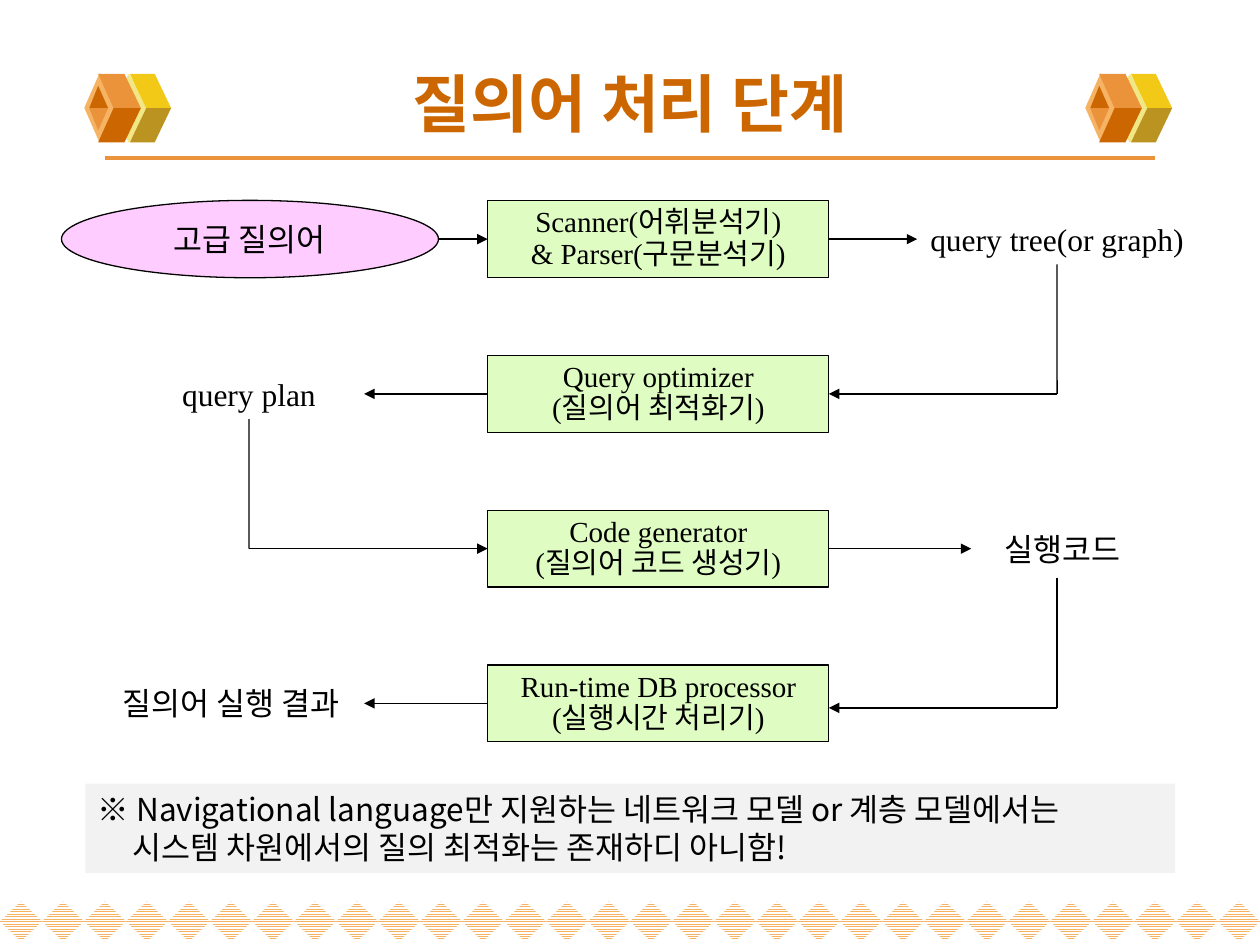
import pptx
import pptx.dml.color
import pptx.enum.dml
import pptx.enum.shapes
import pptx.enum.text
import pptx.oxml
import pptx.oxml.ns
import pptx.util

Cm = pptx.util.Cm
Pt = pptx.util.Pt
SHAPE = pptx.enum.shapes.MSO_SHAPE
ALIGN = pptx.enum.text.PP_ALIGN
ANCHOR = pptx.enum.text.MSO_ANCHOR

COLORS = {
    "black": "000000", "white": "FFFFFF", "title": "CC6600", "rule": "EB933B",
    "stripe": "F5B363", "cream": "F1E785", "yellow": "F3C917", "olive": "BB9321",
    "pink": "FFCCFF", "green": "DFFDC3", "grey": "F2F2F2",
}
SERIF = "Times New Roman"
SANS = "Noto Sans CJK KR"
TOP, LEFT, BOTTOM, RIGHT = range(4)
STEP_LEFT, STEP_WIDTH, STEP_HEIGHT = 9.83, 6.88, 1.55
ROWS = [4.82 + 3.12 * row for row in range(4)]
STEPS = [
    ["Scanner(어휘분석기)", "& Parser(구문분석기)"],
    ["Query optimizer", "(질의어 최적화기)"],
    ["Code generator", "(질의어 코드 생성기)"],
    ["Run-time DB processor", "(실행시간 처리기)"],
]


def color(name):
    return pptx.dml.color.RGBColor.from_string(COLORS[name])


def style(shape, fill, outline=None):
    shape.shadow.inherit = False
    shape.fill.solid()
    shape.fill.fore_color.rgb = color(fill)
    if outline:
        shape.line.color.rgb = color(outline)
        shape.line.width = Pt(0.75)
    else:
        shape.line.fill.background()


def add_block(page, kind, left, top, width, height, fill, outline=None):
    shape = page.shapes.add_shape(kind, Cm(left), Cm(top), Cm(width), Cm(height))
    style(shape, fill, outline)
    return shape


def write(shape, lines, size, font=SERIF, ink="black", bold=False,
          align=ALIGN.CENTER, anchor=ANCHOR.MIDDLE, spacing=None):
    frame = shape.text_frame
    frame.word_wrap = True
    frame.vertical_anchor = anchor
    for index, line in enumerate(lines):
        para = frame.add_paragraph() if index else frame.paragraphs[0]
        para.text = line
        para.alignment = align
        para.line_spacing = spacing
        para.font.size = Pt(size)
        para.font.name = font
        para.font.bold = bold
        para.font.color.rgb = color(ink)
    return frame


def add_label(page, text, left, width, middle):
    box = page.shapes.add_textbox(Cm(left), Cm(middle - 0.51), Cm(width), Cm(1.02))
    write(box, [text], 18).word_wrap = False
    return box


def add_step(page, lines, middle):
    box = add_block(page, SHAPE.RECTANGLE, STEP_LEFT, middle - STEP_HEIGHT / 2,
                    STEP_WIDTH, STEP_HEIGHT, "green", "black")
    frame = write(box, lines, 16.6, spacing=0.9)
    frame.margin_left = frame.margin_right = Cm(0.1)
    frame.margin_top = frame.margin_bottom = Cm(0.1)
    return box


def add_line(page, start, end, ink="black", width=0.75, arrow=False):
    joins = [isinstance(point[0], (int, float)) for point in (start, end)]
    begin_x, begin_y = start if joins[0] else (0, 0)
    end_x, end_y = end if joins[1] else (0, 0)
    line = page.shapes.add_connector(
        pptx.enum.shapes.MSO_CONNECTOR.STRAIGHT,
        Cm(begin_x), Cm(begin_y), Cm(end_x), Cm(end_y))
    if not joins[0]:
        line.begin_connect(*start)
    if not joins[1]:
        line.end_connect(*end)
    line.line.color.rgb = color(ink)
    line.line.width = Pt(width)
    if arrow:
        tail = pptx.oxml.parse_xml(
            f'<a:tailEnd {pptx.oxml.ns.nsdecls("a")} type="triangle"/>')
        line.line._get_or_add_ln().append(tail)
    line._element.spPr.append(
        pptx.oxml.parse_xml(f'<a:effectLst {pptx.oxml.ns.nsdecls("a")}/>'))


def add_face(page, points, fill):
    corners = [(Cm(x), Cm(y)) for x, y in points]
    builder = page.shapes.build_freeform(*corners[0], scale=1.0)
    builder.add_line_segments(corners[1:], close=True)
    style(builder.convert_to_shape(), fill)


def add_mirrored_faces(page, points, shift, upper, lower):
    axis = 2.18
    add_face(page, [(x + shift, y) for x, y in points], upper)
    add_face(page, [(x + shift, 2 * axis - y) for x, y in points], lower)


def add_cube(page, shift):
    add_block(page, SHAPE.DIAMOND, 2.18 + shift, 1.49, 0.84, 1.39, "cream")
    add_mirrored_faces(page, [(2.95, 2.18), (3.45, 2.18), (3.12, 1.49), (2.62, 1.49)],
                       shift, "yellow", "olive")
    add_block(page, SHAPE.DIAMOND, 1.7 + shift, 1.48, 0.61, 1.39, "stripe")
    add_mirrored_faces(page, [(2.29, 2.18), (2.84, 2.18), (2.51, 1.49), (1.98, 1.49)],
                       shift, "rule", "title")
    add_mirrored_faces(page, [(1.98, 1.73), (1.8, 2.18), (2.18, 2.18)],
                       shift, "title", "rule")


def add_diamond_border(page, count=30):
    pitch = 25.4 / count
    for column in range(count):
        diamond = add_block(page, SHAPE.DIAMOND, column * pitch, 18.17, pitch, 0.81, "stripe")
        diamond.fill.patterned()
        diamond.fill.pattern = pptx.enum.dml.MSO_PATTERN.NARROW_HORIZONTAL
        diamond.fill.fore_color.rgb = color("stripe")
        diamond.fill.back_color.rgb = color("white")


def add_header(page):
    add_line(page, (2.12, 3.18), (23.28, 3.18), "rule", 2.25)
    for shift in (0, 20.18):
        add_cube(page, shift)
    title = page.shapes.add_textbox(Cm(1.27), Cm(1.09), Cm(22.86), Cm(1.93))
    write(title, ["질의어 처리 단계"], 36, ink="title", bold=True)


def add_flow(page):
    query = add_block(page, SHAPE.OVAL, 1.24, ROWS[0] - 0.78, 7.6, 1.56, "pink", "black")
    write(query, ["고급 질의어"], 18)
    scanner, optimizer, generator, processor = [
        add_step(page, lines, middle) for lines, middle in zip(STEPS, ROWS)]
    tree = add_label(page, "query tree(or graph)", 18.49, 5.64, ROWS[0])
    plan = add_label(page, "query plan", 2.29, 5.46, ROWS[1])
    code = add_label(page, "실행코드", 19.58, 3.66, ROWS[2])
    result = add_label(page, "질의어 실행 결과", 1.96, 5.38, ROWS[3])

    tree_x, plan_x, arrow_x = 21.31, 5.02, 7.34
    step_right = STEP_LEFT + STEP_WIDTH
    return_y = 14.27
    add_line(page, (8.84, ROWS[0]), (scanner, LEFT), arrow=True)
    add_line(page, (scanner, RIGHT), (tree, LEFT), arrow=True)
    add_line(page, (tree, BOTTOM), (tree_x, ROWS[1]))
    add_line(page, (tree_x, ROWS[1]), (optimizer, RIGHT), arrow=True)
    add_line(page, (optimizer, LEFT), (arrow_x, ROWS[1]), arrow=True)
    add_line(page, (plan, BOTTOM), (plan_x, ROWS[2]))
    add_line(page, (plan_x, ROWS[2]), (generator, LEFT), arrow=True)
    add_line(page, (generator, RIGHT), (code, LEFT), arrow=True)
    add_line(page, (tree_x, 11.66), (tree_x, return_y))
    add_line(page, (tree_x, return_y), (step_right, return_y), arrow=True)
    add_line(page, (processor, LEFT), (result, RIGHT), arrow=True)


def add_note(page):
    note = add_block(page, SHAPE.RECTANGLE, 1.72, 15.8, 21.97, 1.8, "grey")
    frame = write(note, ["※ Navigational language만 지원하는 네트워크 모델 or 계층 모델에서는",
                         "시스템 차원에서의 질의 최적화는 존재하디 아니함!"],
                  18, font=SANS, align=ALIGN.LEFT, anchor=ANCHOR.TOP)
    frame.paragraphs[1]._p.get_or_add_pPr().set("marL", str(Cm(0.7)))


def main():
    deck = pptx.Presentation()
    deck.slide_width = Cm(25.4)
    deck.slide_height = Cm(19.05)
    page = deck.slides.add_slide(deck.slide_layouts[6])
    add_diamond_border(page)
    add_header(page)
    add_flow(page)
    add_note(page)
    deck.save("out.pptx")


if __name__ == "__main__":
    main()
